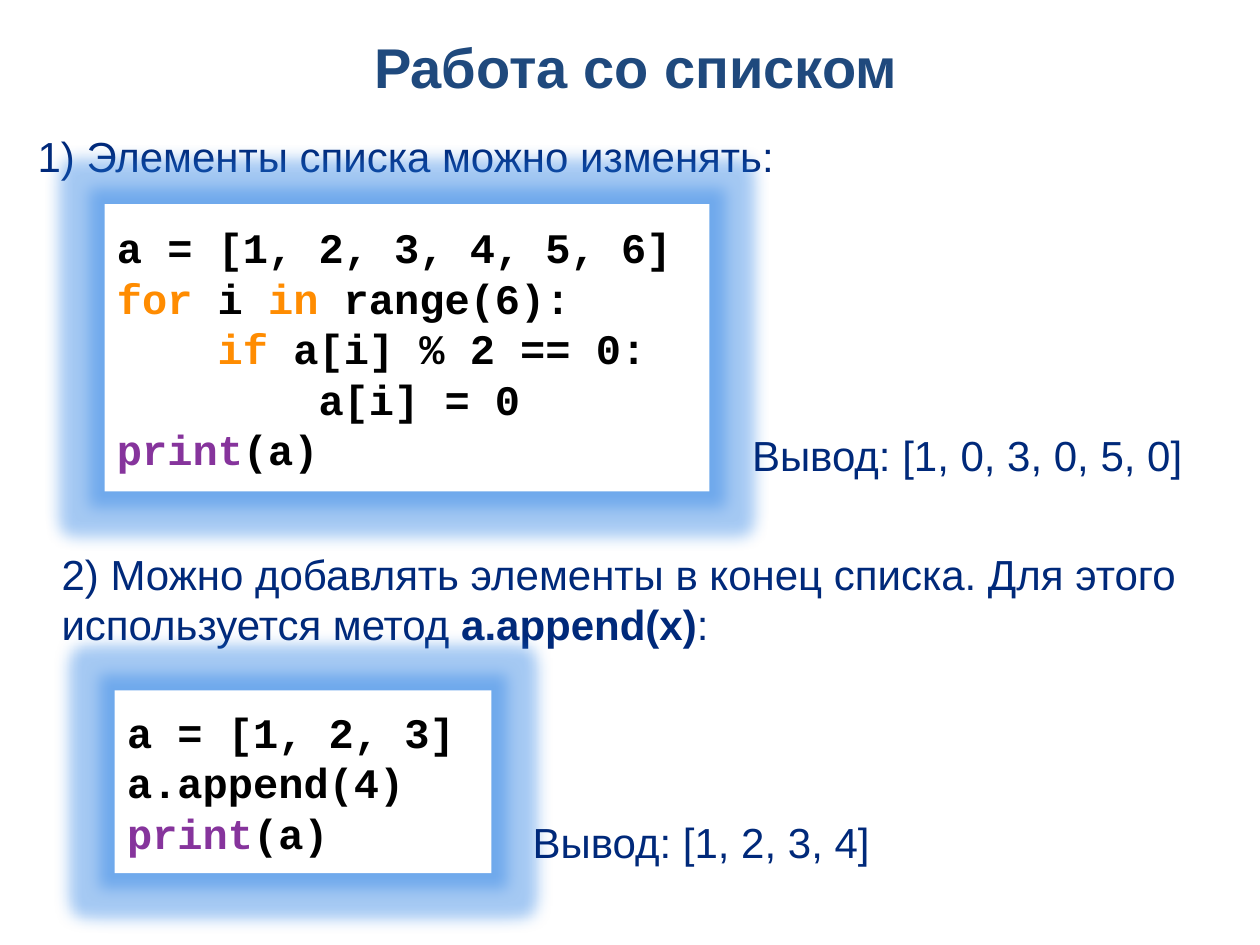
from lxml.etree import SubElement
from pptx import Presentation
from pptx.dml.color import RGBColor
from pptx.enum.shapes import MSO_SHAPE
from pptx.enum.text import MSO_ANCHOR, MSO_AUTO_SIZE, PP_ALIGN
from pptx.oxml.ns import qn
from pptx.util import Inches, Pt

TITLE_BLUE = RGBColor(0x1F, 0x49, 0x7D)
TEXT_BLUE = RGBColor(0x00, 0x29, 0x7A)
KEYWORD = RGBColor(0xFF, 0x8C, 0x01)
FUNCTION = RGBColor(0x86, 0x34, 0x9C)
BLACK = RGBColor(0, 0, 0)
WHITE = RGBColor(255, 255, 255)
GLOW_BLUE = RGBColor(0x20, 0x7A, 0xE3)
GLOW_RADIUS = Inches(0.25)
GLOW_ALPHA = 40000
INDENT_STEP = Inches(0.8)

TITLE_FORMAT = {"name": "Arial", "size": Pt(32), "bold": True}
BODY_FORMAT = {"name": "Arial", "size": Pt(24), "bold": False}
STRONG_FORMAT = {**BODY_FORMAT, "bold": True}
CODE_FORMAT = {"name": "Courier New", "size": Pt(24), "bold": True}

TITLE = ("Работа со списком", (2.87, 0.21, 4.49, 0.64))

NOTES = [
    ((0.2, 0.99, 8.5, 0.5), True,
     [("1) Элементы списка можно изменять:", BODY_FORMAT)]),
    ((5.87, 3.36, 3.65, 0.5), False,
     [("Вывод: [1, 0, 3, 0, 5, 0]", BODY_FORMAT)]),
    ((0.39, 4.3, 9.61, 0.91), True,
     [("2) Можно добавлять элементы в конец списка. Для этого "
       "используется метод ", BODY_FORMAT),
      ("a.append(x)", STRONG_FORMAT), (":", BODY_FORMAT)]),
    ((4.13, 6.43, 2.9, 0.5), False,
     [("Вывод: [1, 2, 3, 4]", BODY_FORMAT)]),
]

PRINT_LINE = (0, [("print", FUNCTION), ("(a)", BLACK)])
LISTINGS = [
    ((0.83, 1.62, 4.8, 2.28), [
        (0, [("a = [1, 2, 3, 4, 5, 6]", BLACK)]),
        (0, [("for ", KEYWORD), ("i ", BLACK), ("in", KEYWORD),
             (" range(6):", BLACK)]),
        (1, [("if", KEYWORD), (" a[i] % 2 == 0:", BLACK)]),
        (2, [("a[i] = 0", BLACK)]),
        PRINT_LINE,
    ]),
    ((0.91, 5.48, 2.99, 1.45), [
        (0, [("a = [1, 2, 3]", BLACK)]),
        (0, [("a.append(4)", BLACK)]),
        PRINT_LINE,
    ]),
]


def add_run(paragraph, text, font_format, color):
    run = paragraph.add_run()
    run.text = text
    for name, value in font_format.items():
        setattr(run.font, name, value)
    run.font.color.rgb = color


def add_glow(shape):
    effects = shape._element.spPr.find(qn("a:effectLst"))
    glow = SubElement(effects, qn("a:glow"), rad=str(GLOW_RADIUS))
    color = SubElement(glow, qn("a:srgbClr"), val=str(GLOW_BLUE))
    SubElement(color, qn("a:alpha"), val=str(GLOW_ALPHA))


def add_title(slide, text, box):
    title = slide.shapes.title
    title.left, title.top, title.width, title.height = map(Inches, box)
    frame = title.text_frame
    frame.auto_size = MSO_AUTO_SIZE.NONE
    frame.vertical_anchor = MSO_ANCHOR.TOP
    paragraph = frame.paragraphs[0]
    paragraph.alignment = PP_ALIGN.LEFT
    add_run(paragraph, text, TITLE_FORMAT, TITLE_BLUE)


def add_note(slide, box, wrap, runs):
    frame = slide.shapes.add_textbox(*map(Inches, box)).text_frame
    frame.word_wrap = wrap
    frame.auto_size = MSO_AUTO_SIZE.SHAPE_TO_FIT_TEXT
    for text, font_format in runs:
        add_run(frame.paragraphs[0], text, font_format, TEXT_BLUE)


def add_listing(slide, box, lines):
    shape = slide.shapes.add_shape(MSO_SHAPE.RECTANGLE, *map(Inches, box))
    shape.fill.solid()
    shape.fill.fore_color.rgb = WHITE
    shape.line.fill.background()
    shape.shadow.inherit = False
    add_glow(shape)
    frame = shape.text_frame
    frame.word_wrap = True
    frame.vertical_anchor = MSO_ANCHOR.MIDDLE
    for index, (level, runs) in enumerate(lines):
        paragraph = frame.add_paragraph() if index else frame.paragraphs[0]
        paragraph.alignment = PP_ALIGN.LEFT
        if level:
            paragraph._p.get_or_add_pPr().set("marL", str(level * INDENT_STEP))
        for text, color in runs:
            add_run(paragraph, text, CODE_FORMAT, color)


presentation = Presentation()
presentation.slide_width = Inches(10)
presentation.slide_height = Inches(7.5)
slide = presentation.slides.add_slide(presentation.slide_layouts[5])

add_title(slide, *TITLE)
for (statement, output), listing in zip((NOTES[:2], NOTES[2:]), LISTINGS):
    add_note(slide, *statement)
    add_listing(slide, *listing)
    add_note(slide, *output)

presentation.save("out.pptx")
